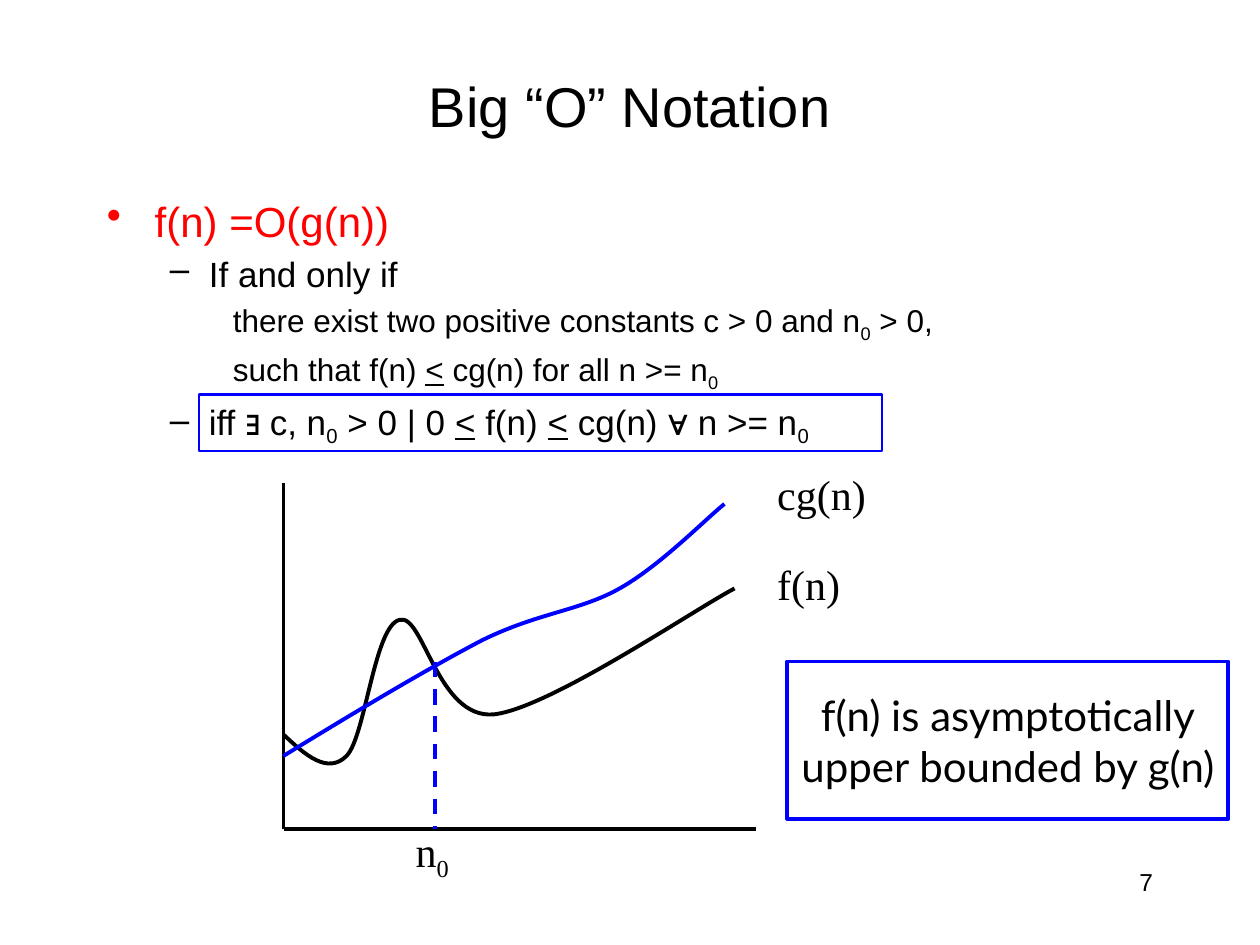
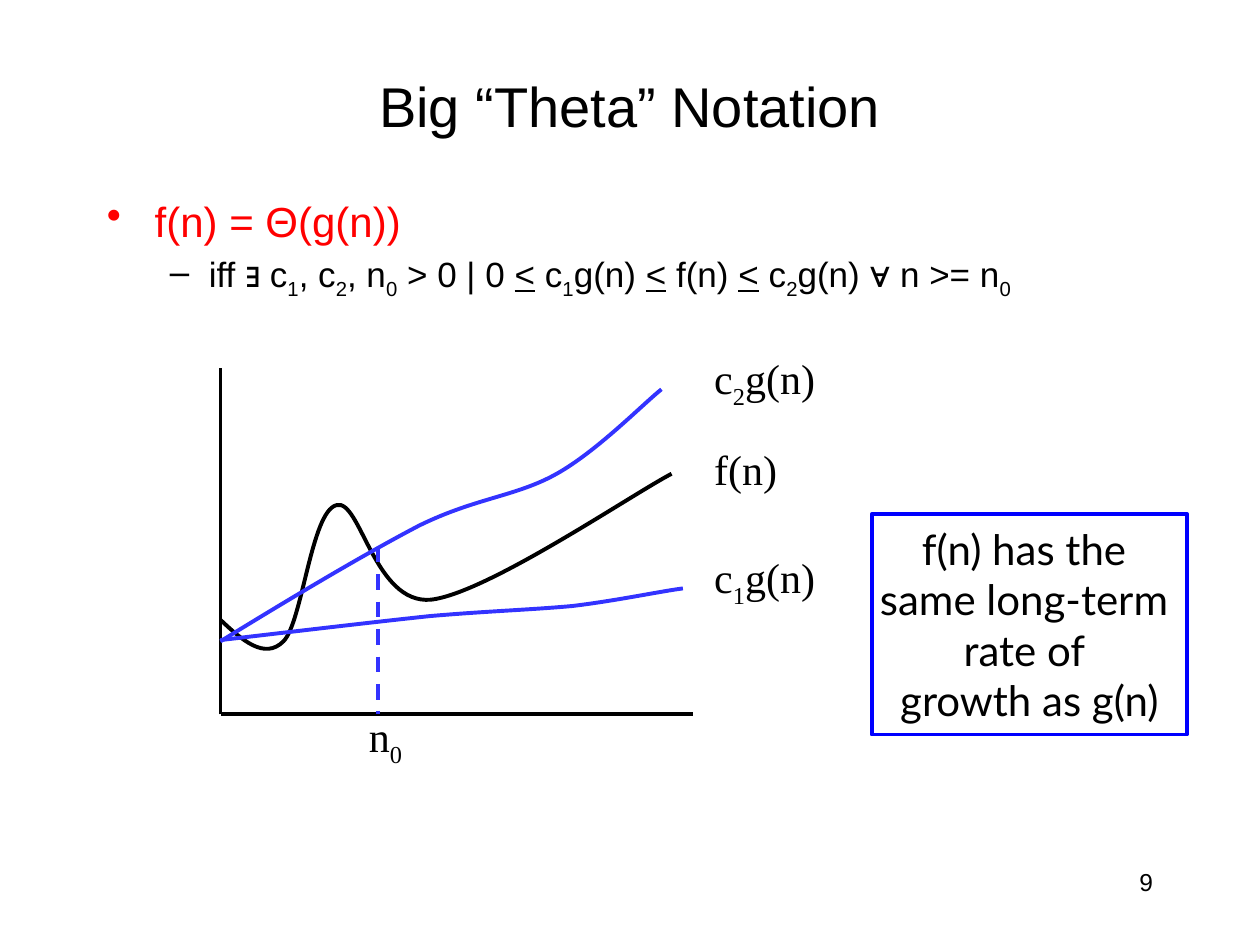
from lxml import etree
from pptx import Presentation
from pptx.dml.color import RGBColor
from pptx.enum.dml import MSO_LINE
from pptx.enum.shapes import MSO_CONNECTOR, MSO_SHAPE
from pptx.enum.text import MSO_ANCHOR, MSO_AUTO_SIZE, PP_ALIGN
from pptx.oxml.ns import qn
from pptx.util import Pt

PX = 9144
LEFT, CENTER, RIGHT = PP_ALIGN.LEFT, PP_ALIGN.CENTER, PP_ALIGN.RIGHT
TOP, MIDDLE = MSO_ANCHOR.TOP, MSO_ANCHOR.MIDDLE
FIT, NO_FIT = MSO_AUTO_SIZE.SHAPE_TO_FIT_TEXT, MSO_AUTO_SIZE.NONE
RECTANGLE, STRAIGHT, DASH = MSO_SHAPE.RECTANGLE, MSO_CONNECTOR.STRAIGHT, MSO_LINE.DASH
TITLE_ONLY = 5

COLORS = {"ink": "000000", "accent": "FF0000", "frame": "0000FF", "soft": "3333FF"}
SANS, SERIF, CALLOUT = "Arial", "Times New Roman", "Lato"

OUTLINE = {
    "topic": {"size": 24, "color": "accent", "margin": 38, "hang": 38, "bullet": "•"},
    "point": {"size": 20, "color": "ink", "margin": 81, "hang": 31, "bullet": "–"},
    "detail": {"size": 18, "color": "ink", "margin": 125, "hang": 25, "bullet": None},
}

F_CURVE = [(0, -75), (17, -59), (35, -43), (50, -58), (65, -73), (72, -161), (92, -166),
           (111, -172), (122, -87), (167, -91), (211, -96), (324, -173), (358, -191)]
UPPER_CURVE = [(0, -58), (57, -93), (114, -127), (158, -150), (203, -172),
               (235, -173), (267, -191), (299, -209), (335, -246), (350, -258)]
LOWER_CURVE = [(0, -59), (60, -66), (119, -73), (166, -78), (212, -82),
               (246, -83), (279, -86), (313, -90), (351, -98), (367, -100)]
LABEL_X = 382


def rgb(color):
    return RGBColor.from_string(COLORS[color])


def write(paragraph, text, font=SANS, size=24, color="ink", align=LEFT):
    """Backticks mark an underlined "<" or a subscript."""
    paragraph.alignment = align
    for index, part in enumerate(text.split("`")):
        if not part:
            continue
        run = paragraph.add_run()
        run.text = part
        run.font.name, run.font.size = font, Pt(size)
        run.font.color.rgb = rgb(color)
        if index % 2 and part == "<":
            run.font.underline = True
        elif index % 2:
            run._r.get_or_add_rPr().set("baseline", "-25000")


class Deck:
    def __init__(self):
        self.presentation = Presentation()
        self.presentation.slide_width = 1000 * PX
        self.presentation.slide_height = 750 * PX
        self.slide = None

    def start(self, title, number):
        layout = self.presentation.slide_layouts[TITLE_ONLY]
        self.slide = self.presentation.slides.add_slide(layout)
        heading = self.slide.shapes.title
        heading.left, heading.top, heading.width, heading.height = (
            v * PX for v in (75, 42, 850, 83))
        heading.text_frame.vertical_anchor = MIDDLE
        heading.text_frame.auto_size = NO_FIT
        write(heading.text_frame.paragraphs[0], title, size=32, align=CENTER)
        self.text(number, 717, 683, 208, 50, size=14, align=RIGHT)

    def text_box(self, left, top, width, height, wrap=True):
        box = self.slide.shapes.add_textbox(left * PX, top * PX, width * PX, height * PX)
        box.text_frame.word_wrap = wrap
        box.text_frame.auto_size = NO_FIT if wrap else FIT
        box.text_frame.vertical_anchor = TOP
        return box.text_frame

    def text(self, text, left, top, width, height, wrap=True, **style):
        frame = self.text_box(left, top, width, height, wrap)
        write(frame.paragraphs[0], text, **style)

    def outline(self, *items):
        frame = self.text_box(75, 150, 850, 517)
        for index, (level, text) in enumerate(items):
            rule = OUTLINE[level]
            paragraph = frame.add_paragraph() if index else frame.paragraphs[0]
            write(paragraph, text, size=rule["size"], color=rule["color"])
            paragraph.space_before = Pt(rule["size"] * 0.2)
            properties = paragraph._p.get_or_add_pPr()
            properties.set("marL", str(rule["margin"] * PX))
            properties.set("indent", str(-rule["hang"] * PX))
            if rule["bullet"]:
                etree.SubElement(properties, qn("a:buChar"), char=rule["bullet"])
            else:
                etree.SubElement(properties, qn("a:buNone"))

    def frame(self, left, top, width, height, lines=(), weight=2.25):
        box = self.slide.shapes.add_shape(
            RECTANGLE, left * PX, top * PX, width * PX, height * PX)
        box.shadow.inherit = False
        box.fill.background()
        box.line.color.rgb, box.line.width = rgb("frame"), Pt(weight)
        content = box.text_frame
        content.word_wrap = False
        content.vertical_anchor = MIDDLE
        for index, line in enumerate(lines):
            paragraph = content.add_paragraph() if index else content.paragraphs[0]
            write(paragraph, line, font=CALLOUT, align=CENTER)

    def line(self, x1, y1, x2, y2, color="ink", dash=None):
        connector = self.slide.shapes.add_connector(
            STRAIGHT, x1 * PX, y1 * PX, x2 * PX, y2 * PX)
        connector.line.color.rgb, connector.line.width = rgb(color), Pt(2.25)
        if dash:
            connector.line.dash_style = dash
        etree.SubElement(connector._element.spPr, qn("a:effectLst"))

    def curve(self, origin, points, color):
        x, y = origin
        placed = [(x + dx, y + dy) for dx, dy in points]
        builder = self.slide.shapes.build_freeform(*placed[0], scale=PX)
        builder.add_line_segments(placed[1:], close=False)
        shape = builder.convert_to_shape()
        shape.shadow.inherit = False
        shape.fill.background()
        shape.line.color.rgb, shape.line.width = rgb(color), Pt(2.25)
        steps = list(shape._element.iter(qn("a:lnTo")))
        for first in range(0, len(steps), 3):
            bezier = etree.Element(qn("a:cubicBezTo"))
            steps[first].addprevious(bezier)
            for step in steps[first:first + 3]:
                bezier.append(step[0])
                step.getparent().remove(step)

    def plot(self, origin, bounds, color, threshold, threshold_label):
        x, y = origin
        self.line(x, y, x + 375, y)
        self.line(x, y, x, y - 275)
        curves = [(F_CURVE, "ink", "f(n)", -220, 70)]
        curves += [(points, color, *label) for points, *label in bounds]
        for points, stroke, name, label_y, width in curves:
            self.curve(origin, points, stroke)
            self.text(name, x + LABEL_X, y + label_y, width, 50, wrap=False, font=SERIF)
        self.line(x + threshold, y - 133, x + threshold, y, color, DASH)
        self.text("n`0`", x + threshold_label, y - 8, 48, 50, wrap=False, font=SERIF)


def main():
    deck = Deck()

    deck.start("Big “O” Notation", "7")
    deck.frame(158, 313, 542, 45, weight=1.5)
    deck.outline(
        ("topic", "f(n) =O(g(n))"),
        ("point", "If and only if"),
        ("detail", "there exist two positive constants c > 0 and n`0` > 0,"),
        ("detail", "such that f(n) `<` cg(n) for all n >= n`0`"),
        ("point", "iff ∃ c, n`0` > 0 | 0 `<` f(n) `<` cg(n) ∀ n >= n`0`"),
    )
    deck.plot((225, 658), [(UPPER_CURVE, "cg(n)", -291, 90)], "frame", 120, 95)
    deck.frame(625, 525, 350, 125, ["f(n) is asymptotically", "upper bounded by g(n)"])

    deck.start("Big “Theta” Notation", "9")
    deck.outline(
        ("topic", "f(n) = Θ(g(n))"),
        ("point", "iff ∃ c`1`, c`2`, n`0` > 0 | 0 `<` c`1`g(n) `<` f(n) `<` c`2`g(n) ∀ n >= n`0`"),
    )
    deck.plot((175, 567),
              [(LOWER_CURVE, "c`1`g(n)", -134, 102), (UPPER_CURVE, "c`2`g(n)", -292, 102)],
              "soft", 125, 108)
    deck.frame(692, 408, 250, 175,
               ["f(n) has the ", "same long-term ", "rate of ", "growth as g(n)"])

    deck.presentation.save("out.pptx")


if __name__ == "__main__":
    main()
